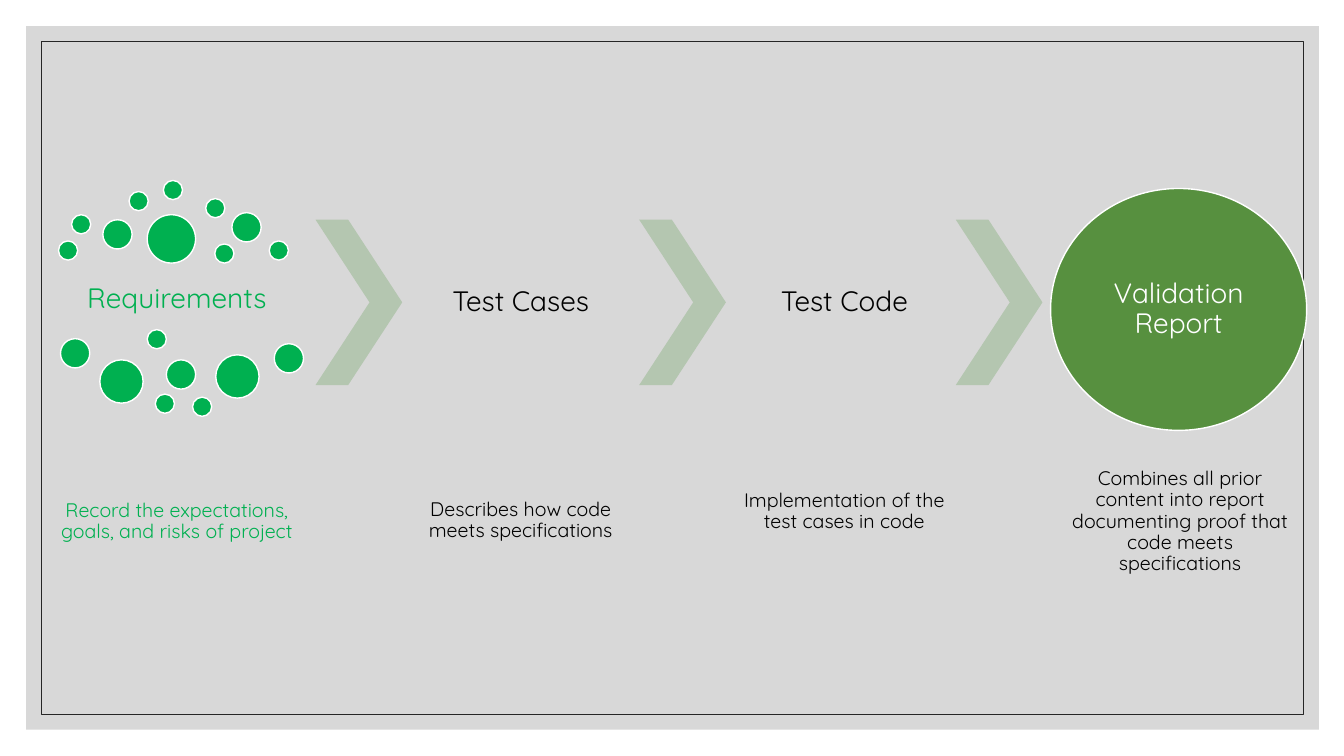
"""Build a slide showing the four steps from requirements to validation report."""
from lxml import etree
from pptx import Presentation
from pptx import util as u
from pptx.dml.color import RGBColor
from pptx.enum import shapes, text
from pptx.oxml import ns

HUES = {
    "panel": "BFBFBF",
    "frame": "262626",
    "green": "00B050",
    "arrow": "B4C6B0",
    "report": "57903F",
    "white": "FFFFFF",
    "black": "000000",
}
FORM = shapes.MSO_SHAPE

deck = Presentation()
deck.slide_width, deck.slide_height = u.Inches(13.33), u.Inches(7.5)
slide = deck.slides.add_slide(deck.slide_layouts[6])


def draw(form, box, fill=None, line=None, width=1):
    """Add a preset shape with the given fill and outline."""
    item = slide.shapes.add_shape(form, *[u.Inches(n) for n in box])
    item.shadow.inherit = False
    if fill:
        item.fill.solid()
        item.fill.fore_color.rgb = RGBColor.from_string(HUES[fill])
    else:
        item.fill.background()
    if line:
        item.line.color.rgb = RGBColor.from_string(HUES[line])
        item.line.width = u.Pt(width)
    else:
        item.line.fill.background()
    return item


def write(words, box, size=14, color="black", inset=0.02):
    """Add a centred text box."""
    item = slide.shapes.add_textbox(*[u.Inches(n) for n in box])
    frame = item.text_frame
    frame.word_wrap = True
    frame.vertical_anchor = text.MSO_ANCHOR.MIDDLE
    frame.margin_left = frame.margin_right = u.Inches(inset)
    frame.margin_top = frame.margin_bottom = u.Inches(inset)
    para = frame.paragraphs[0]
    para.alignment = text.PP_ALIGN.CENTER
    para.line_spacing = 0.9
    para.space_after = u.Pt(size * 0.35)
    run = para.add_run()
    run.text = words
    run.font.name = "Quicksand"
    run.font.size = u.Pt(size)
    run.font.color.rgb = RGBColor.from_string(HUES[color])


panel = draw(FORM.RECTANGLE, (0.26, 0.26, 12.82, 6.98), fill="panel")
tint = panel.fill._xPr.find(".//" + ns.qn("a:srgbClr"))
etree.SubElement(tint, ns.qn("a:alpha"), val="60000")
draw(FORM.RECTANGLE, (0.41, 0.41, 12.52, 6.68), line="frame", width=0.5)

dots = {
    0.19: [(0.58, 2.39), (0.71, 2.13), (1.28, 1.9), (1.62, 1.79), (2.04, 1.97),
           (2.67, 2.39), (2.13, 2.42), (1.46, 3.27), (1.54, 3.91), (1.91, 3.94)],
    0.29: [(1.02, 2.18), (2.3, 2.11), (0.6, 3.36), (1.65, 3.57), (2.72, 3.41)],
    0.43: [(0.99, 3.57), (2.14, 3.52)],
    0.48: [(1.46, 2.13)],
}
for size, spots in dots.items():
    for left, top in spots:
        draw(FORM.OVAL, (left, top, size, size), fill="green", line="white")

for left in (3.13, 6.34, 9.48):
    arrow = draw(FORM.CHEVRON, (left, 2.18, 0.86, 1.64), fill="arrow")
    arrow.adjustments[0] = 0.623

draw(FORM.OVAL, (10.42, 1.87, 2.54, 2.4), fill="report", line="white")

titles = [
    ("Requirements", (0.38, 2.59, 2.75, 0.77), "green", 0.03),
    ("Test Cases", (3.99, 2.18, 2.35, 1.64), "black", 0.03),
    ("Test Code", (7.2, 2.18, 2.35, 1.64), "black", 0.03),
    ("Validation Report", (10.79, 2.22, 1.8, 1.7), "white", 0),
]
for words, box, color, inset in titles:
    write(words, box, size=20, color=color, inset=inset)

notes = [
    ("Record the expectations, goals, and risks of project", 0.58, 4.45, "green"),
    ("Describes how code meets specifications", 3.99, 4.44, "black"),
    ("Implementation of the test cases in code", 7.2, 4.35, "black"),
    ("Combines all prior content into report documenting proof that "
     "code meets specifications", 10.53, 4.45, "black"),
]
for words, left, top, color in notes:
    write(words, (left, top, 2.35, 1.45), color=color)

deck.save("out.pptx")
